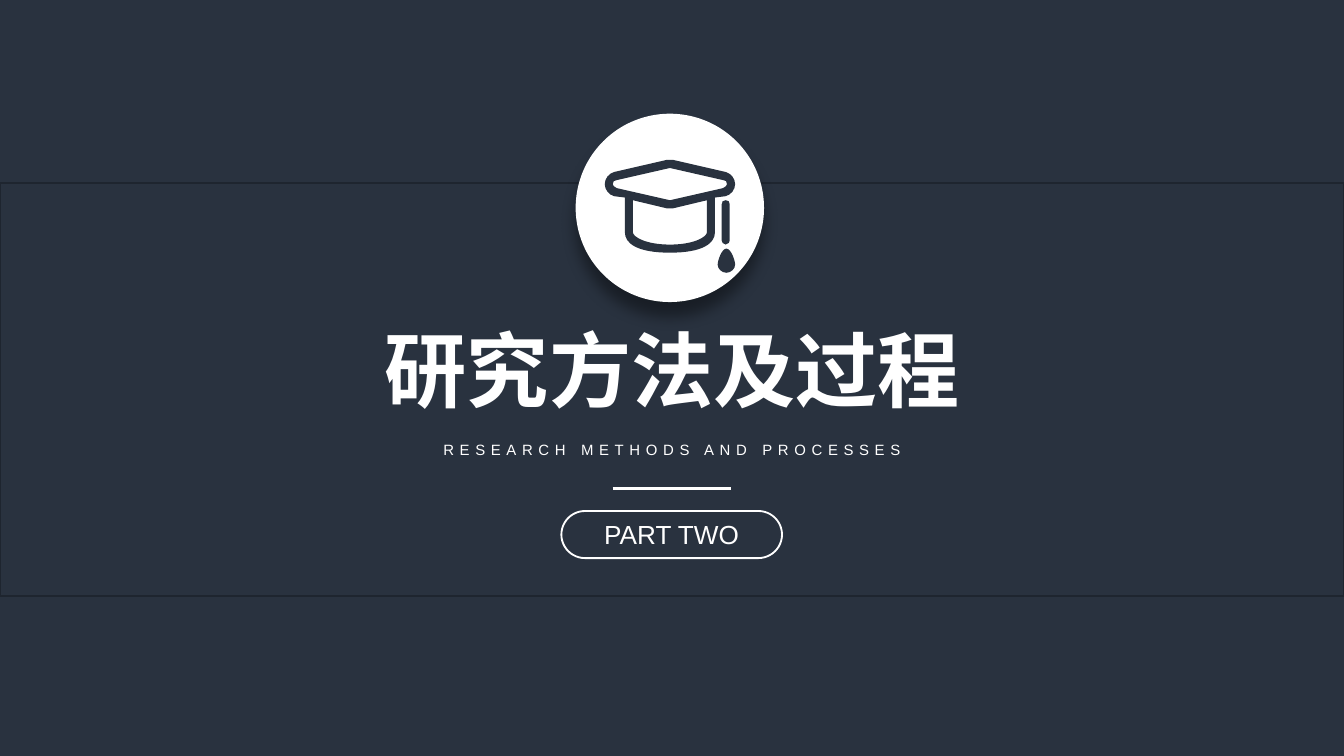
from dataclasses import dataclass
from typing import NamedTuple

from lxml import etree
from pptx import Presentation
from pptx.dml.color import RGBColor
from pptx.enum.shapes import MSO_CONNECTOR, MSO_SHAPE
from pptx.enum.text import MSO_ANCHOR, MSO_AUTO_SIZE, PP_ALIGN
from pptx.oxml.ns import qn
from pptx.util import Cm, Pt

RECTANGLE, OVAL, PILL = MSO_SHAPE.RECTANGLE, MSO_SHAPE.OVAL, MSO_SHAPE.ROUNDED_RECTANGLE
STRAIGHT = MSO_CONNECTOR.STRAIGHT
CENTER = PP_ALIGN.CENTER
TOP, MIDDLE = MSO_ANCHOR.TOP, MSO_ANCHOR.MIDDLE
FIT_TEXT = MSO_AUTO_SIZE.SHAPE_TO_FIT_TEXT

ICON_UNIT = Cm(0.0254)


@dataclass(frozen=True)
class Theme:
    navy: str = "29323F"
    edge: str = "1E252F"
    white: str = "FFFFFF"
    shadow: str = "000000"
    latin: str = "Arial"
    chinese: str = "Noto Sans CJK SC"
    title_size: float = 44
    subtitle_size: float = 8
    part_size: float = 14


class Box(NamedTuple):
    """Left, top, width and height in centimetres."""
    left: float
    top: float
    width: float
    height: float

    def lengths(self) -> list:
        return [Cm(value) for value in self]


class HalfOutline(NamedTuple):
    """Right half of a symmetric outline: 1 point is a line, 3 are a curve."""
    axis: float
    top: float
    segments: list


@dataclass(frozen=True)
class Caption:
    text: str
    box: Box
    font: str
    size: float
    bold: bool = False
    spacing: float = 0


THEME = Theme()

CAP = [
    HalfOutline(498.5, 119, [
        [(501, 119)], [(540, 128)], [(544, 129), (547, 133), (547, 137)],
        [(547, 141), (544, 145), (540, 146)], [(532, 147)], [(532, 173)],
        [(532, 181), (523, 188), (498.5, 188)]]),
    HalfOutline(498.5, 125, [
        [(538, 134)], [(540, 134), (541, 135), (541, 137)],
        [(541, 138), (540, 139), (538, 140)], [(498.5, 149)]]),
    HalfOutline(498.5, 155, [
        [(501, 155)], [(526, 149)], [(526, 173)],
        [(526, 176), (517, 182), (498.5, 182)]]),
]
CORD = [HalfOutline(540, 149, [
    [(542, 149), (543, 150), (543, 152)], [(543, 179)],
    [(543, 180), (542, 182), (540, 182)]])]
TASSEL = [HalfOutline(540.5, 185, [
    [(544, 185), (547, 194), (547, 197)], [(547, 200), (544, 203), (540.5, 203)]])]

CAPTIONS = [
    Caption("研究方法及过程", Box(6.97, 5.92, 11.48, 2.13),
            THEME.chinese, THEME.title_size, bold=True),
    Caption("RESEARCH METHODS AND PROCESSES", Box(8.03, 8.2, 9.35, 0.61),
            THEME.latin, THEME.subtitle_size, spacing=3),
]


def color(value: str) -> RGBColor:
    return RGBColor.from_string(value)


def write_text(frame, text: str, *, font: str, size: float, bold: bool = False,
               spacing: float = 0, anchor=TOP, wrap: bool = False) -> None:
    frame.word_wrap = wrap
    frame.vertical_anchor = anchor
    paragraph = frame.paragraphs[0]
    paragraph.alignment = CENTER
    run = paragraph.add_run()
    run.text = text
    run.font.name = font
    run.font.size = Pt(size)
    run.font.bold = bold
    run.font.color.rgb = color(THEME.white)
    properties = run.font._element
    etree.SubElement(properties, qn("a:ea"), typeface=font)
    if spacing:
        properties.set("spc", str(round(spacing * 100)))


def add_panel(slide, kind, box: Box, fill: str = "", line: str = ""):
    """Add a preset shape; an empty colour means no fill or no line."""
    panel = slide.shapes.add_shape(kind, *box.lengths())
    panel.shadow.inherit = False
    if fill:
        panel.fill.solid()
        panel.fill.fore_color.rgb = color(fill)
    else:
        panel.fill.background()
    if line:
        panel.line.color.rgb = color(line)
        panel.line.width = Pt(1)
    else:
        panel.line.fill.background()
    return panel


def cast_shadow(panel, blur: float, distance: float, opacity: int) -> None:
    """Give a shape a soft shadow straight below it."""
    effects = panel._element.spPr.find(qn("a:effectLst"))
    shadow = etree.SubElement(
        effects, qn("a:outerShdw"), blurRad=str(Pt(blur)), dist=str(Pt(distance)),
        dir=str(90 * 60000), algn="t", rotWithShape="0")
    tint = etree.SubElement(shadow, qn("a:srgbClr"), val=THEME.shadow)
    etree.SubElement(tint, qn("a:alpha"), val=str(opacity * 1000))


def outline_points(half: HalfOutline) -> list[tuple[float, float]]:
    """List the points of both halves, scaled to slide lengths."""
    right = [(half.axis, half.top)]
    for segment in half.segments:
        right += segment
    left = [(2 * half.axis - x, y) for x, y in reversed(right[:-1])]
    return [(x * ICON_UNIT, y * ICON_UNIT) for x, y in right + left]


def bend_curves(part, halves: list[HalfOutline]) -> None:
    """Join each three lines that hold a curve's points into one Bezier curve."""
    lines = iter(list(part._element.iter(qn("a:lnTo"))))
    for half in halves:
        sizes = [len(segment) for segment in half.segments]
        for size in sizes + sizes[::-1]:
            first, *others = [next(lines) for _ in range(size)]
            if others:
                curve = etree.Element(qn("a:cubicBezTo"))
                first.addprevious(curve)
                for line in (first, *others):
                    curve.append(line[0])
                    line.getparent().remove(line)


def add_icon_part(group, halves: list[HalfOutline]) -> None:
    outer, *holes = [outline_points(half) for half in halves]
    builder = group.shapes.build_freeform(*outer[0])
    builder.add_line_segments(outer[1:])
    for hole in holes:
        builder.move_to(*hole[0])
        builder.add_line_segments(hole[1:])
    part = builder.convert_to_shape()
    bend_curves(part, halves)
    part.shadow.inherit = False
    part.fill.solid()
    part.fill.fore_color.rgb = color(THEME.navy)
    part.line.fill.background()


def add_caption(slide, caption: Caption) -> None:
    frame = slide.shapes.add_textbox(*caption.box.lengths()).text_frame
    frame.auto_size = FIT_TEXT
    write_text(frame, caption.text, font=caption.font, size=caption.size,
               bold=caption.bold, spacing=caption.spacing)


def add_divider(slide, left: float, right: float, height: float) -> None:
    divider = slide.shapes.add_connector(
        STRAIGHT, Cm(left), Cm(height), Cm(right), Cm(height))
    divider.line.color.rgb = color(THEME.white)
    divider.line.width = Pt(1.5)
    etree.SubElement(divider._element.spPr, qn("a:effectLst"))


def main() -> None:
    deck = Presentation()
    deck.slide_width, deck.slide_height = Cm(25.4), Cm(14.29)
    slide = deck.slides.add_slide(deck.slide_layouts[6])
    slide.background.fill.solid()
    slide.background.fill.fore_color.rgb = color(THEME.navy)

    add_panel(slide, RECTANGLE, Box(0, 3.46, 25.4, 7.8), THEME.navy, THEME.edge)
    badge = add_panel(slide, OVAL, Box(10.88, 2.15, 3.56, 3.56), THEME.white)
    cast_shadow(badge, blur=8, distance=8, opacity=40)
    graduation_cap = slide.shapes.add_group_shape()
    for halves in (CAP, CORD, TASSEL):
        add_icon_part(graduation_cap, halves)

    for caption in CAPTIONS:
        add_caption(slide, caption)
    add_divider(slide, 11.58, 13.82, 9.23)
    part_label = add_panel(slide, PILL, Box(10.61, 9.66, 4.17, 0.89), line=THEME.white)
    part_label.adjustments[0] = 0.5
    write_text(part_label.text_frame, "PART TWO", font=THEME.latin,
               size=THEME.part_size, anchor=MIDDLE, wrap=True)
    deck.save("out.pptx")


if __name__ == "__main__":
    main()
